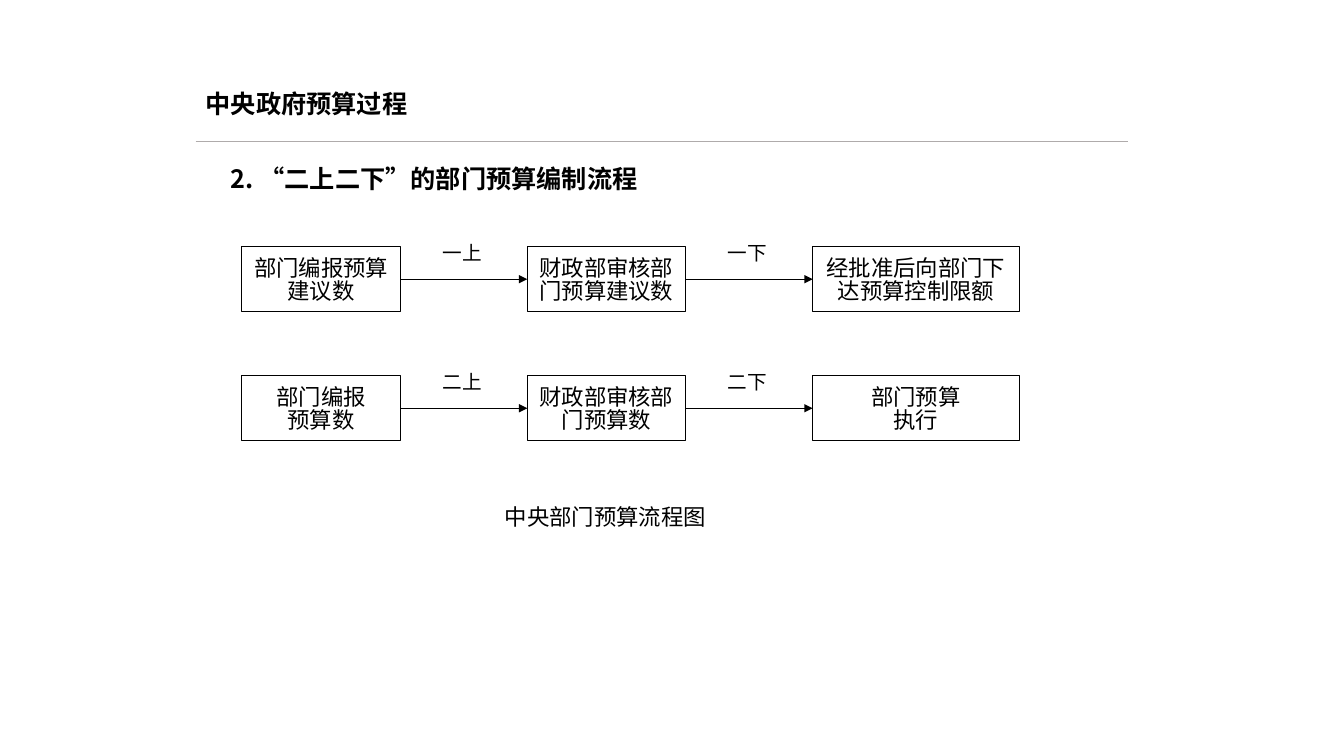
from pptx import Presentation, util as u
from pptx.dml.color import RGBColor
from pptx.enum import shapes, text
from pptx.oxml.ns import qn
from lxml import etree

BLACK = RGBColor(0, 0, 0)
GREY = RGBColor(0xAF, 0xAB, 0xAB)
FONT = "Noto Sans CJK SC"

COLUMNS = [(2.4, 1.57), (5.23, 1.57), (8.06, 2.05)]
BOX_HEIGHT = 0.64
ROWS = [
    (2.45, ["部门编报预算建议数", "财政部审核部门预算建议数", "经批准后向部门下达预算控制限额"],
     ["一上", "一下"]),
    (3.73, ["部门编报\n预算数", "财政部审核部门预算数", "部门预算\n执行"],
     ["二上", "二下"]),
]


class FlowSlide:
    def __init__(self, deck):
        self.page = deck.slides.add_slide(deck.slide_layouts[5])

    def set_text(self, shape, words, size, bold=False, spacing=0.9,
                 align=text.PP_ALIGN.LEFT, anchor=text.MSO_ANCHOR.TOP, top=0.05, bottom=0.05):
        frame = shape.text_frame
        frame.text = words
        frame_format = {
            "word_wrap": True, "auto_size": text.MSO_AUTO_SIZE.NONE,
            "vertical_anchor": anchor, "margin_left": u.Inches(0.1),
            "margin_right": u.Inches(0.1), "margin_top": u.Inches(top),
            "margin_bottom": u.Inches(bottom),
        }
        for name, value in frame_format.items():
            setattr(frame, name, value)
        for para in frame.paragraphs:
            para.alignment = align
            para.line_spacing = spacing
            para.space_before = u.Pt(0)
            for span in para.runs:
                for name, value in {"name": FONT, "size": u.Pt(size), "bold": bold}.items():
                    setattr(span.font, name, value)
                span.font.color.rgb = BLACK
                east_asian = etree.SubElement(span.font._element, qn("a:ea"))
                east_asian.set("typeface", FONT)

    def title(self, words, left, top, width, height):
        title = self.page.shapes.title
        place = {"left": left, "top": top, "width": width, "height": height}
        for name, value in place.items():
            setattr(title, name, u.Inches(value))
        self.set_text(title, words, 18, bold=True, spacing=1.25)

    def label(self, words, left, top, width, height, size, bold=False):
        box = self.page.shapes.add_textbox(*map(u.Inches, (left, top, width, height)))
        self.set_text(box, words, size, bold)

    def step(self, words, left, top, width):
        box = self.page.shapes.add_shape(
            shapes.MSO_SHAPE.RECTANGLE, *map(u.Inches, (left, top, width, BOX_HEIGHT)))
        box.shadow.inherit = False
        box.fill.background()
        box.line.color.rgb = BLACK
        box.line.width = u.Pt(0.75)
        self.set_text(box, words, 16, spacing=0.83, align=text.PP_ALIGN.CENTER,
                      anchor=text.MSO_ANCHOR.MIDDLE, top=0.07, bottom=0.03)
        return box

    def line(self, start, end, color):
        line = self.page.shapes.add_connector(
            shapes.MSO_CONNECTOR.STRAIGHT, *map(u.Inches, start + end))
        line.line.color.rgb = color
        line.line.width = u.Pt(0.5)
        etree.SubElement(line._element.spPr, qn("a:effectLst"))
        return line

    def arrow(self, source, target):
        arrow = self.line((0, 0), (1, 1), BLACK)
        arrow.begin_connect(source, 3)
        arrow.end_connect(target, 1)
        outline = arrow._element.spPr.find(qn("a:ln"))
        head = etree.SubElement(outline, qn("a:tailEnd"))
        head.set("type", "triangle")

    def flow_row(self, top, steps, labels):
        """Draw one row of boxes, joined by labelled arrows."""
        boxes = [self.step(words, left, top, width)
                 for words, (left, width) in zip(steps, COLUMNS)]
        for source, target, words, (left, width) in zip(boxes, boxes[1:], labels, COLUMNS):
            self.arrow(source, target)
            self.label(words, left + width + 0.32, top - 0.08, 0.63, 0.34, 14)


def main():
    deck = Presentation()
    deck.slide_width = u.Inches(13.33)
    deck.slide_height = u.Inches(7.5)
    flow = FlowSlide(deck)
    flow.title("中央政府预算过程", 1.94, 0.75, 9.68, 0.48)
    flow.line((1.94, 1.4), (11.19, 1.4), GREY)
    flow.label("2. “二上二下”的部门预算编制流程", 2.19, 1.61, 7.46, 0.4, 18, bold=True)
    for top, steps, labels in ROWS:
        flow.flow_row(top, steps, labels)
    flow.label("中央部门预算流程图", 4.91, 4.97, 2.36, 0.37, 16)
    deck.save("out.pptx")


if __name__ == "__main__":
    main()
